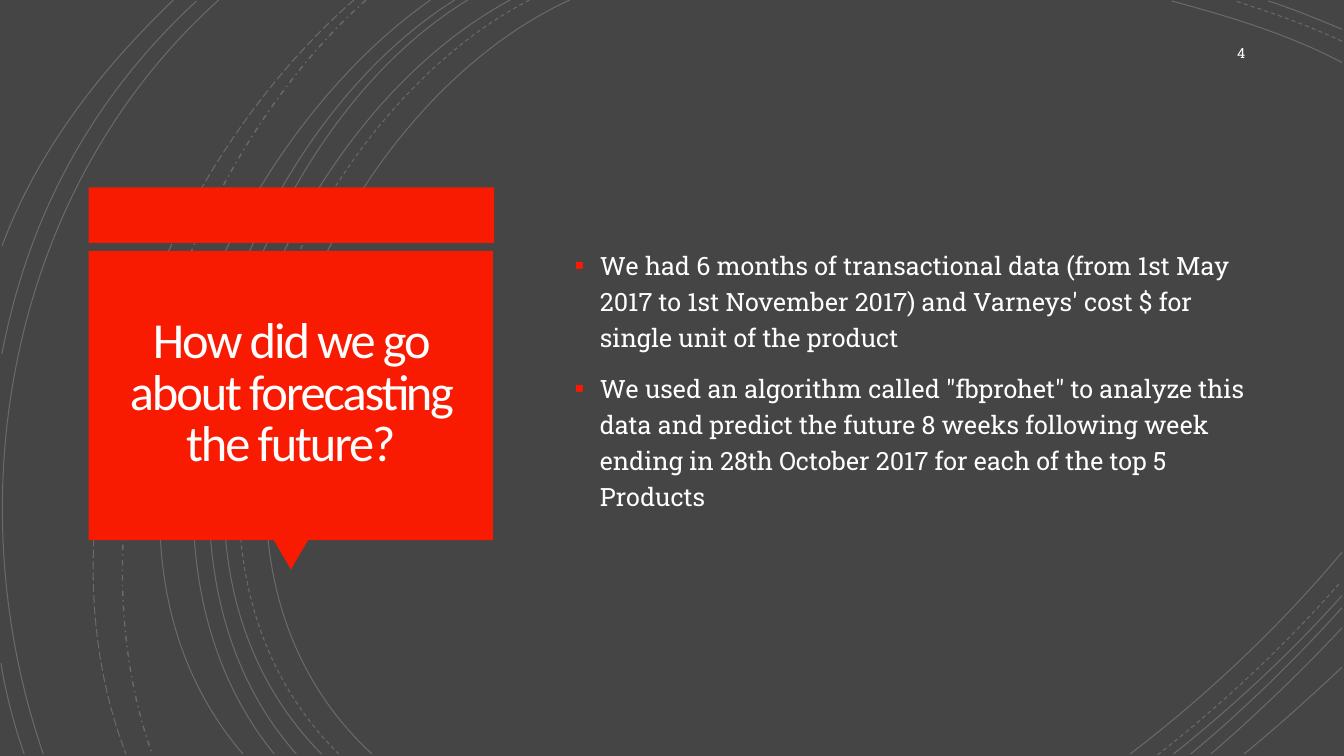
"""Build the forecasting method slide."""
from dataclasses import dataclass

from lxml import etree
from pptx import Presentation
from pptx import util as u
from pptx.dml import color
from pptx.enum import dml, shapes, text
from pptx.oxml import ns

HUES = {"back": "454545", "red": "F81B02", "white": "FFFFFF", "title": "FFFEFF"}
SLAB = "Roboto Slab"
DASH = dml.MSO_LINE


@dataclass
class Arc:
    """A cubic curve in inches: start, two controls, end."""
    pts: tuple
    dash: DASH = DASH.SOLID
    width: float = 0.75


@dataclass
class Block:
    """A filled preset shape of the title card."""
    kind: shapes.MSO_SHAPE
    box: tuple
    turn: int = 0


ARCS = [
    Arc(((5.65, 0), (3.15, 1.15), (1.43, 5.4), (3.69, 7.48))),
    Arc(((13.31, 0.62), (12.78, 0.34), (12.18, 0.16), (11.62, 0.01))),
    Arc(((11.21, 7.48), (11.97, 6.9), (12.69, 6.22), (13.31, 5.48))),
    Arc(((5.25, 0), (2.85, 1.25), (1.23, 5.37), (3.36, 7.48)), DASH.DASH),
    Arc(((13.31, 0.41), (12.97, 0.25), (12.6, 0.12), (12.25, 0.01)), DASH.DASH),
    Arc(((11.48, 7.49), (12.13, 6.98), (12.75, 6.4), (13.3, 5.77)), DASH.DASH),
    Arc(((5.06, 0), (2.7, 1.27), (1.1, 5.37), (3.19, 7.48))),
    Arc(((13.31, 0.29), (13.07, 0.19), (12.83, 0.09), (12.58, 0.01))),
    Arc(((11.64, 7.48), (12.23, 7.01), (12.8, 6.48), (13.31, 5.91))),
    Arc(((4.64, 0), (2.44, 1.33), (1.1, 5.41), (2.94, 7.48))),
    Arc(((11.81, 7.48), (12.34, 7.04), (12.84, 6.55), (13.31, 6.03))),
    Arc(((4.51, 0), (2.31, 1.38), (0.97, 5.33), (2.72, 7.48))),
    Arc(((12.01, 7.48), (12.46, 7.09), (12.9, 6.67), (13.31, 6.23))),
    Arc(((4.27, 0), (2.17, 1.47), (0.53, 5.29), (2.41, 7.48))),
    Arc(((12.34, 7.48), (12.67, 7.21), (12.99, 6.92), (13.31, 6.62))),
    Arc(((3.63, 0), (1.76, 1.66), (0.65, 5.09), (1.51, 7.48)), DASH.DASH_DOT, 1),
    Arc(((3.51, 0), (1.57, 1.69), (0.29, 4.99), (1.25, 7.48)), DASH.LONG_DASH),
    Arc(((2.17, 0), (0.11, 1.85), (-0.46, 4.9), (0.43, 7.48))),
    Arc(((1.95, 0.01), (0.92, 0.96), (0.28, 2.14), (0.02, 3.51))),
    Arc(((0.01, 6.58), (0.06, 6.89), (0.14, 7.19), (0.24, 7.48))),
    Arc(((1.72, 0), (1, 0.69), (0.37, 1.5), (0.02, 2.44))),
]

CARD = [
    Block(shapes.MSO_SHAPE.RECTANGLE, (0.88, 1.86, 4.02, 0.55)),
    Block(shapes.MSO_SHAPE.ISOSCELES_TRIANGLE, (2.71, 5.35, 0.35, 0.3), 180),
    Block(shapes.MSO_SHAPE.RECTANGLE, (0.88, 2.49, 4.01, 2.87)),
]

TITLE = "How did we go about forecasting the future?"
POINTS = [
    "We had 6 months of transactional data (from 1st May 2017 to 1st November 2017) "
    "and Varneys' cost $ for single unit of the product",
    "We used an algorithm called \"fbprohet\" to analyze this data and predict the future "
    "8 weeks following week ending in 28th October 2017 for each of the top 5 Products",
]


def hue(name: str) -> color.RGBColor:
    """Look up a named colour."""
    return color.RGBColor.from_string(HUES[name])


def sub(node, tag: str, **attrs: str):
    """Append a drawing element."""
    return etree.SubElement(node, ns.qn(tag), **attrs)


def bend(shape) -> None:
    """Turn the three straight legs of an outline into one cubic curve."""
    legs = list(shape.element.iter(ns.qn("a:lnTo")))
    cubic = sub(legs[0].getparent(), "a:cubicBezTo")
    for leg in legs:
        cubic.append(leg[0])
        leg.getparent().remove(leg)


def draw_arc(group, arc: Arc) -> None:
    """Draw one faint arc."""
    first, *rest = [(u.Inches(x), u.Inches(y)) for x, y in arc.pts]
    pen = group.shapes.build_freeform(*first, scale=1.0)
    pen.add_line_segments(rest, close=False)
    shape = pen.convert_to_shape()
    bend(shape)
    shape.shadow.inherit = False
    shape.fill.background()
    line = shape.line
    line.color.rgb = hue("white")
    line.width = u.Pt(arc.width)
    line.dash_style = arc.dash
    tint = shape.element.spPr.find(".//" + ns.qn("a:srgbClr"))
    sub(tint, "a:alpha", val="20000")


def draw_block(group, block: Block) -> None:
    """Draw one red block."""
    shape = group.shapes.add_shape(block.kind, *map(u.Inches, block.box))
    shape.rotation = block.turn
    shape.shadow.inherit = False
    shape.fill.solid()
    shape.fill.fore_color.rgb = hue("red")
    shape.line.fill.background()


def place(shape, box: tuple):
    """Move a text shape and return its frame."""
    shape.left, shape.top, shape.width, shape.height = map(u.Inches, box)
    frame = shape.text_frame
    frame.word_wrap = True
    frame.auto_size = text.MSO_AUTO_SIZE.NONE
    frame.vertical_anchor = text.MSO_ANCHOR.MIDDLE
    return frame


def write(para, words: str, size: float, face: str, tone: str):
    """Add one formatted run."""
    run = para.add_run()
    run.text = words
    run.font.size = u.Pt(size)
    run.font.name = face
    run.font.color.rgb = hue(tone)
    return run


def fill_title(shape) -> None:
    """Write the title."""
    frame = place(shape, (0.97, 2.57, 3.83, 2.69))
    frame.margin_left = frame.margin_right = u.Inches(0.25)
    frame.margin_top = frame.margin_bottom = u.Inches(0.25)
    para = frame.paragraphs[0]
    para.alignment = text.PP_ALIGN.CENTER
    para.line_spacing = 0.85
    run = write(para, TITLE, 36, "Calibri", "title")
    run.font._element.set("spc", "-150")


def fill_body(shape) -> None:
    """Write the bulleted points."""
    frame = place(shape, (5.6, 0.88, 6.87, 5.74))
    for i, words in enumerate(POINTS):
        para = frame.add_paragraph() if i else frame.paragraphs[0]
        para.line_spacing = 1.2
        para.space_before = u.Pt(10)
        write(para, words, 18, SLAB, "white")
        props = para._p.get_or_add_pPr()
        props.set("marL", str(u.Inches(0.25)))
        props.set("indent", str(u.Inches(-0.25)))
        sub(sub(props, "a:buClr"), "a:srgbClr", val=HUES["red"])
        sub(props, "a:buSzPct", val="110000")
        sub(props, "a:buChar", char="▪")


def main() -> None:
    """Build and save the slide."""
    deck = Presentation()
    deck.slide_width, deck.slide_height = u.Inches(13.33), u.Inches(7.5)
    slide = deck.slides.add_slide(deck.slide_layouts[1])
    slide.background.fill.solid()
    slide.background.fill.fore_color.rgb = hue("back")
    title, body = slide.placeholders
    for items, draw in ((ARCS, draw_arc), (CARD, draw_block)):
        group = slide.shapes.add_group_shape()
        for item in items:
            draw(group, item)
    fill_title(title)
    fill_body(body)
    for shape in (title, body):
        slide.shapes.element.append(shape.element)
    num = slide.shapes.add_textbox(0, 0, 0, 0)
    para = place(num, (11.45, 0.35, 1, 0.35)).paragraphs[0]
    para.alignment = text.PP_ALIGN.RIGHT
    write(para, "4", 10, SLAB, "white")
    deck.save("out.pptx")


if __name__ == "__main__":
    main()
